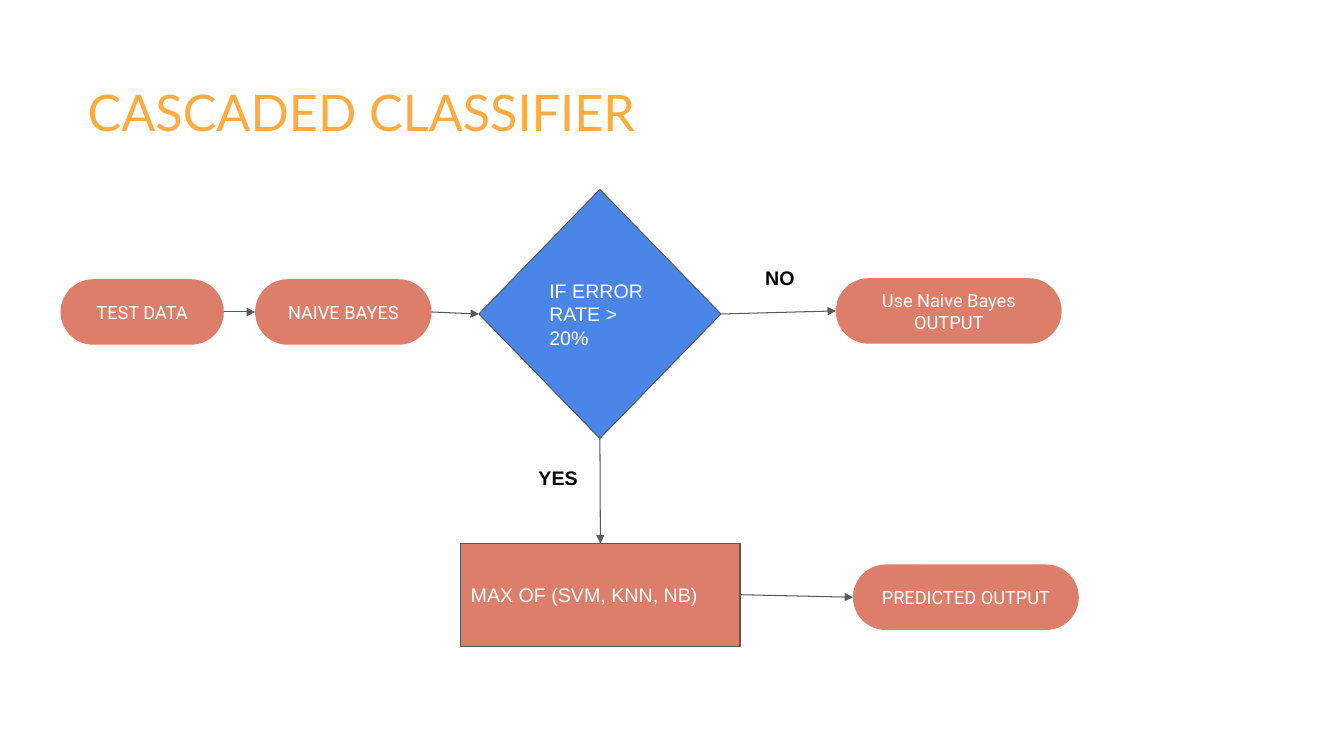
from lxml import etree
from pptx import Presentation
from pptx.dml.color import RGBColor
from pptx.enum.shapes import MSO_CONNECTOR, MSO_SHAPE
from pptx.enum.text import MSO_ANCHOR, PP_ALIGN
from pptx.oxml.ns import qn
from pptx.util import Inches, Pt

PILL, DIAMOND, BOX = MSO_SHAPE.ROUNDED_RECTANGLE, MSO_SHAPE.DIAMOND, MSO_SHAPE.RECTANGLE
STRAIGHT = MSO_CONNECTOR.STRAIGHT
LEFT, CENTER, RIGHT = PP_ALIGN.LEFT, PP_ALIGN.CENTER, PP_ALIGN.RIGHT
TOP, MIDDLE, BOTTOM = MSO_ANCHOR.TOP, MSO_ANCHOR.MIDDLE, MSO_ANCHOR.BOTTOM
SITE_TOP, SITE_LEFT, SITE_BOTTOM, SITE_RIGHT = range(4)

COLORS = {"title": "FFAB40", "coral": "DD7E6B", "blue": "4A86E8",
          "line": "595959", "white": "FFFFFF", "black": "000000"}
CELL = Inches(0.1)
LINE_WIDTH = Pt(0.75)
PILL_HEIGHT = 6.5


def color(name):
    """Return the named colour of the palette."""
    return RGBColor.from_string(COLORS[name])


def grid(*cells):
    """Turn columns and rows of the grid into lengths."""
    return [round(cell * CELL) for cell in cells]


def write(shape, text, *, size=14, font="Arial", ink="white", bold=False,
          align=LEFT, anchor=MIDDLE, insets=(1, 1, 1, 1)):
    """Write formatted text into a shape, with insets left, top, right, bottom."""
    frame = shape.text_frame
    frame.word_wrap = True
    frame.vertical_anchor = anchor
    (frame.margin_left, frame.margin_top,
     frame.margin_right, frame.margin_bottom) = grid(*insets)
    paragraph = frame.paragraphs[0]
    paragraph.alignment = align
    run = paragraph.add_run()
    run.text = text
    run.font.size = Pt(size)
    run.font.name = font
    run.font.bold = bold
    run.font.color.rgb = color(ink)


def add_label(slide, text, area, **text_format):
    """Add a text box."""
    write(slide.shapes.add_textbox(*grid(*area)), text, **text_format)


def add_node(slide, kind, text, area, fill, outlined=True, **text_format):
    """Add a filled flowchart node and return it."""
    node = slide.shapes.add_shape(kind, *grid(*area))
    node.shadow.inherit = False
    node.fill.solid()
    node.fill.fore_color.rgb = color(fill)
    if outlined:
        node.line.color.rgb = color("line")
        node.line.width = LINE_WIDTH
    else:
        node.line.fill.background()
    write(node, text, **text_format)
    return node


def add_pill(slide, text, left, top, width):
    """Add a node with fully rounded ends and return it."""
    pill = add_node(slide, PILL, text, (left, top, width, PILL_HEIGHT), "coral",
                    outlined=False, size=13, font="Roboto", align=CENTER,
                    insets=(1.3,) * 4)
    pill.adjustments[0] = 0.5
    return pill


def add_arrow(slide, source, target, source_site=SITE_RIGHT, target_site=SITE_LEFT):
    """Join two nodes with an arrow."""
    arrow = slide.shapes.add_connector(STRAIGHT, 0, 0, 0, 0)
    arrow.begin_connect(source, source_site)
    arrow.end_connect(target, target_site)
    arrow.line.color.rgb = color("line")
    arrow.line.width = LINE_WIDTH
    properties = arrow.element.spPr
    outline = properties.find(qn("a:ln"))
    etree.SubElement(outline, qn("a:tailEnd"), type="triangle", w="med", len="med")
    etree.SubElement(properties, qn("a:effectLst"))


def main():
    """Build the cascaded classifier flowchart."""
    presentation = Presentation()
    presentation.slide_width, presentation.slide_height = grid(133.3, 75)
    slide = presentation.slides.add_slide(presentation.slide_layouts[6])

    add_label(slide, "CASCADED CLASSIFIER", (7.4, 6.7, 94, 14.4), size=36,
              font="Lato", ink="title", anchor=TOP, insets=(1.3,) * 4)

    test_data = add_pill(slide, "TEST DATA", 6, 27.7, 16.2)
    naive_bayes = add_pill(slide, "NAIVE BAYES", 25.3, 27.7, 17.5)
    predicted = add_pill(slide, "PREDICTED OUTPUT", 84.6, 56, 22.4)
    decision = add_node(slide, DIAMOND, "IF ERROR RATE > 20%",
                        (47.5, 18.8, 24, 24.7), "blue")
    bayes_output = add_pill(slide, "Use Naive Bayes OUTPUT", 82.9, 27.6, 22.4)
    maximum = add_node(slide, BOX, "MAX OF (SVM, KNN, NB)",
                       (45.7, 53.9, 27.7, 10.2), "coral")

    add_arrow(slide, test_data, naive_bayes)
    add_arrow(slide, naive_bayes, decision)
    add_arrow(slide, decision, bayes_output)
    add_arrow(slide, decision, maximum, SITE_BOTTOM, SITE_TOP)
    add_arrow(slide, maximum, predicted)

    add_label(slide, "NO", (74.9, 23.1, 11.1, 5.7), ink="black", bold=True,
              anchor=BOTTOM, insets=(1, 1, 1, 0.1))
    add_label(slide, "YES", (48.2, 45.2, 10.4, 5.4), ink="black", bold=True,
              align=RIGHT, anchor=TOP, insets=(1, 1, 1.3, 1))

    presentation.save("out.pptx")


if __name__ == "__main__":
    main()
